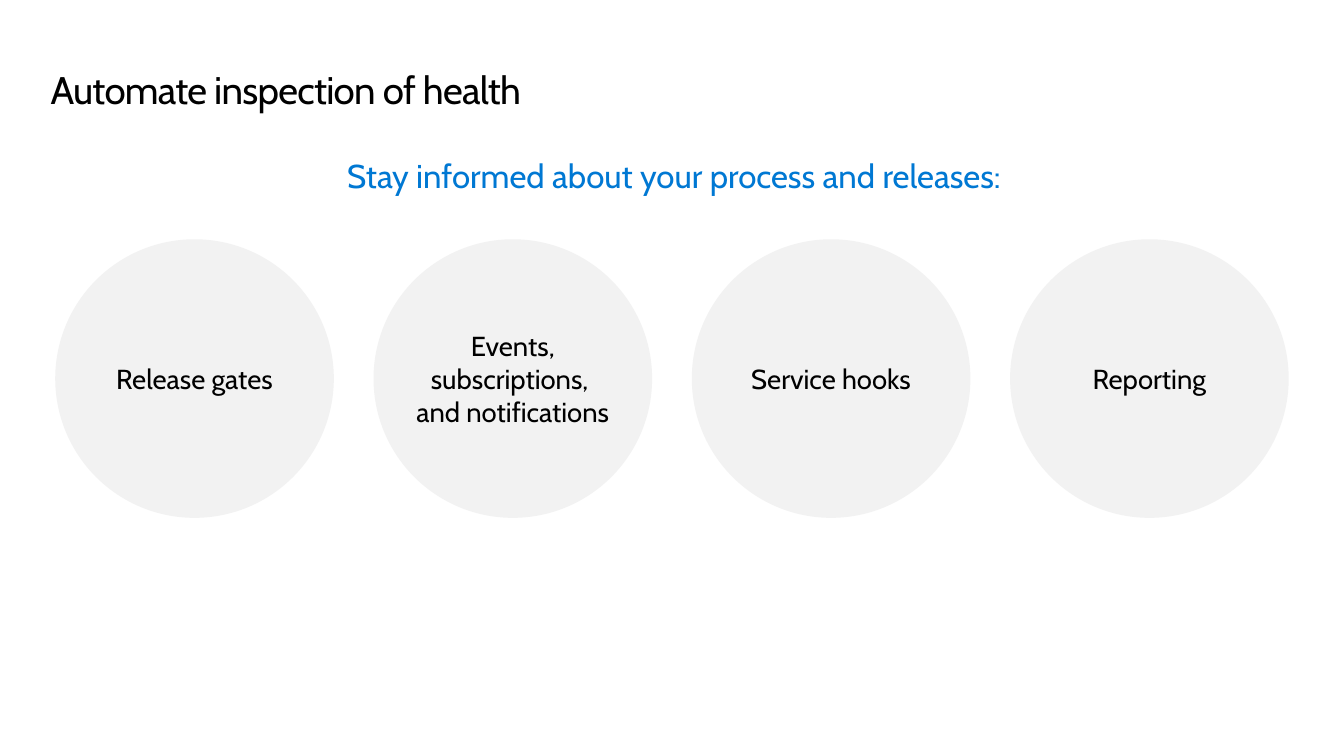
from pptx import Presentation
from pptx.dml.color import RGBColor
from pptx.enum.shapes import MSO_SHAPE
from pptx.enum.text import MSO_ANCHOR, MSO_AUTO_SIZE, PP_ALIGN
from pptx.util import Cm, Pt

FONT = "Cabin"
BLACK, BLUE, GREY = "000000", "0078D3", "F2F2F2"
TOPICS = [
    ["Release gates"],
    ["Events,", "subscriptions, ", "and notifications"],
    ["Service hooks"],
    ["Reporting"],
]
DIAMETER, PITCH = 7.16, 8.18


def rgb(value):
    return RGBColor.from_string(value)


def write(tf, lines, size, color, align=PP_ALIGN.CENTER, anchor=MSO_ANCHOR.TOP):
    """Fill a frame with one paragraph, its lines parted by line breaks."""
    tf.margin_left = tf.margin_right = tf.margin_top = tf.margin_bottom = 0
    tf.word_wrap = True
    tf.vertical_anchor = anchor
    p = tf.paragraphs[0]
    p.alignment = align
    for i, line in enumerate(lines):
        if i:
            p.add_line_break()
        r = p.add_run()
        r.text = line
        r.font.name = FONT
        r.font.size = Pt(size)
        r.font.color.rgb = rgb(color)
    return p


def add_title(s, text):
    sp = s.shapes.title
    sp.left, sp.top, sp.width, sp.height = Cm(1.3), Cm(1.75), Cm(32.03), Cm(1.14)
    p = write(sp.text_frame, [text], 28, BLACK, PP_ALIGN.LEFT)
    p.line_spacing = Pt(32)
    p.runs[0].font._element.set("spc", "-50")
    sp.text_frame.auto_size = MSO_AUTO_SIZE.SHAPE_TO_FIT_TEXT


def add_subtitle(s, text):
    sp = s.shapes.add_textbox(Cm(1.3), Cm(3.99), Cm(32.05), Cm(1.02))
    write(sp.text_frame, [text], 24, BLUE)
    sp.text_frame.auto_size = MSO_AUTO_SIZE.SHAPE_TO_FIT_TEXT


def add_circle(s, left, lines):
    sp = s.shapes.add_shape(MSO_SHAPE.OVAL, Cm(left), Cm(6.15), Cm(DIAMETER), Cm(DIAMETER))
    sp.shadow.inherit = False
    sp.fill.solid()
    sp.fill.fore_color.rgb = rgb(GREY)
    sp.line.fill.background()
    write(sp.text_frame, lines, 20, BLACK, anchor=MSO_ANCHOR.MIDDLE)


def main():
    prs = Presentation()
    prs.slide_width, prs.slide_height = Cm(34.54), Cm(19.43)
    s = prs.slides.add_slide(prs.slide_layouts[5])
    add_title(s, "Automate inspection of health")
    add_subtitle(s, "Stay informed about your process and releases:")
    for i, lines in enumerate(TOPICS):
        add_circle(s, 1.42 + i * PITCH, lines)
    prs.save("out.pptx")


if __name__ == "__main__":
    main()
